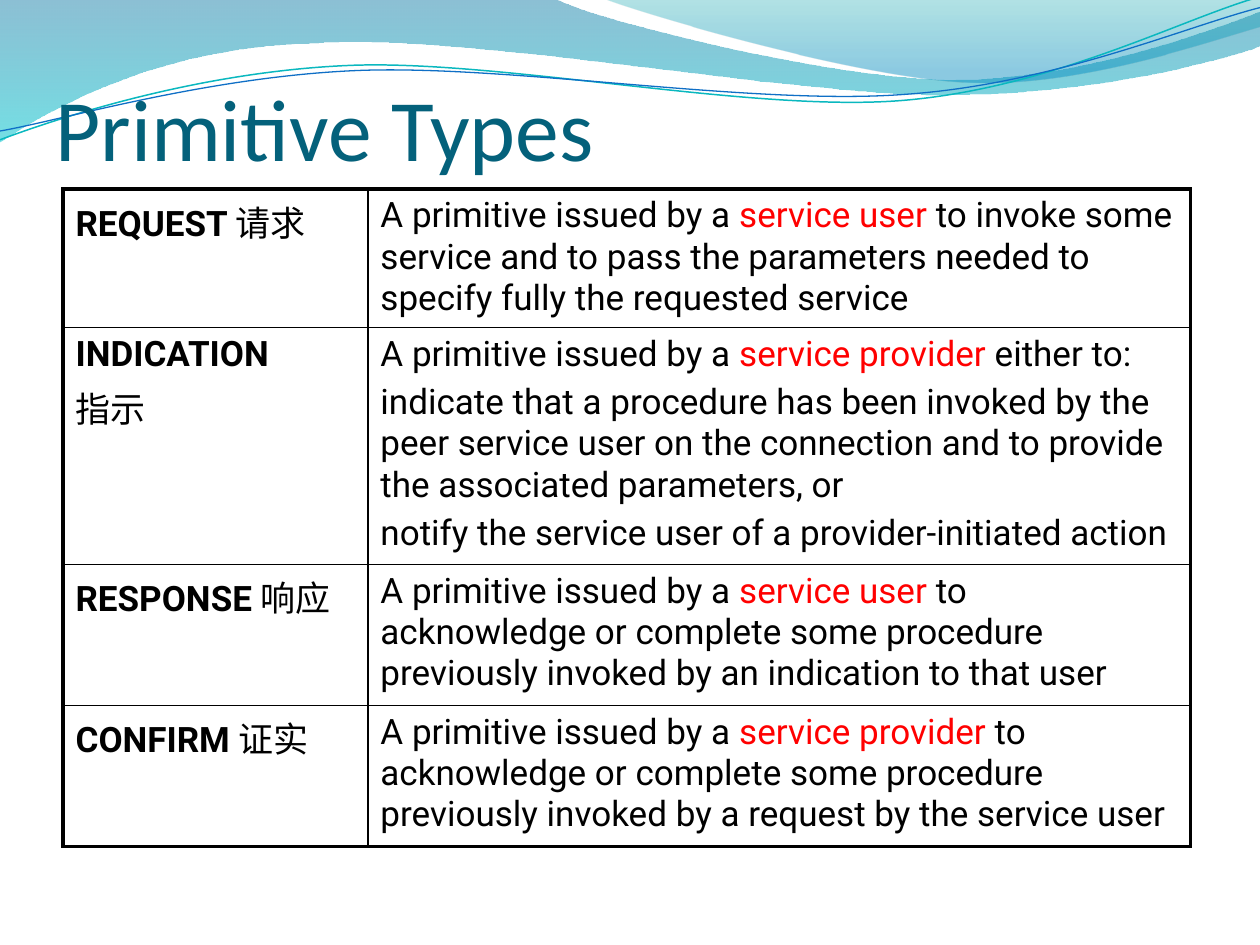
"""Build the Primitive Types slide with its wave banner and definition table."""
import math

from lxml import etree
from pptx import Presentation, util as u
from pptx.dml.color import RGBColor
from pptx.enum import text
from pptx.oxml import ns

BIG_WAVE = [
    (0, 0), (4.4, -0.01), (4.76, 0.17, 6.64, 0.63, 7.58, 0.63),
    (8.53, 0.63, 9.58, 0.26, 10, 0.09), (10.01, 0.36), (9.83, 0.44, 8.7, 0.76, 7.46, 0.75),
    (6.22, 0.75, 3.82, 0.28, 2.57, 0.34), (1.29, 0.36, 0.46, 0.83, -0.01, 1.13), (0, 0)]
SMALL_WAVE = [
    (4.79, -0.01), (5.09, 0.11, 6.82, 0.62, 7.69, 0.65), (8.56, 0.69, 9.61, 0.32, 10, 0.21),
    (10, 0), (4.79, -0.01)]
TEAL_CURVE = [
    (0, 1.11), (0.48, 0.93, 1.58, 0.57, 2.77, 0.52), (3.95, 0.47, 5.93, 0.89, 7.13, 0.8),
    (8.33, 0.71, 9.38, 0.15, 9.98, -0.02)]
BLUE_CURVE = [
    (0, 1.04), (0.47, 0.96, 1.64, 0.61, 2.83, 0.56), (4.03, 0.51, 5.97, 0.84, 7.17, 0.75),
    (8.36, 0.67, 9.41, 0.21, 10, 0.06)]


def rgb(value):
    """Turn a hex string into a colour."""
    return RGBColor.from_string(value)


def turn(parts, degrees, box):
    """Turn the points of an outline clockwise about the centre of a box."""
    cosine, sine = math.cos(math.radians(degrees)), math.sin(math.radians(degrees))
    left, top, width, height = box
    cx, cy = left + width / 2, top + height / 2
    turned = []
    for part in parts:
        pairs = zip(part[::2], part[1::2])
        turned.append([value for x, y in pairs for value in (
            cx + (x - cx) * cosine - (y - cy) * sine,
            cy + (x - cx) * sine + (y - cy) * cosine)])
    return turned


class SlideBuilder:
    """Hold the style and the current slide."""

    title_font, body_font = "Calibri", "Roboto"
    title_size, body_size = 50, 20
    title_color, body_color, accent = "04617B", "000000", "FF0000"
    outer_line, inner_line = 2.25, 1
    tilt = 2.7

    def __init__(self, presentation):
        """Add a blank slide."""
        self.slide = presentation.slides.add_slide(presentation.slide_layouts[6])

    def outline(self, parts, box, close):
        """Draw a freeform of straight and cubic parts that fills a box."""
        ends = [tuple(map(u.Inches, part[-2:])) for part in parts]
        builder = self.slide.shapes.build_freeform(*ends[0])
        builder.add_line_segments(ends[1:], close=close)
        shape = builder.convert_to_shape()
        shape.shadow.inherit = False
        shape.left, shape.top, shape.width, shape.height = map(u.Inches, box)
        track = next(shape.element.iter(ns.qn("a:path")))
        track.set("w", str(shape.width))
        track.set("h", str(shape.height))
        for step, part in zip(list(track), parts):
            step.clear()
            if len(part) == 6:
                curve = etree.Element(ns.qn("a:cubicBezTo"))
                track.replace(step, curve)
                step = curve
            for x, y in zip(part[::2], part[1::2]):
                etree.SubElement(step, ns.qn("a:pt"), x=str(u.Inches(x) - shape.left),
                                 y=str(u.Inches(y) - shape.top))
        return shape

    def wave(self, parts, box, stops):
        """Draw a wave with a see-through downward gradient."""
        shape = self.outline(parts, box, True)
        shape.line.fill.background()
        shape.fill.gradient()
        shape.fill.gradient_angle = 270
        for stop, (position, color, _) in zip(shape.fill.gradient_stops, stops):
            stop.position = position
            stop.color.rgb = rgb(color)
        colors = shape.element.spPr.iter(ns.qn("a:srgbClr"))
        for element, (_, _, alpha) in zip(colors, stops):
            etree.SubElement(element, ns.qn("a:alpha"), val=str(alpha * 1000))

    def curve(self, parts, box, color, width):
        """Draw a tilted open curve."""
        shape = self.outline(turn(parts, self.tilt, box), box, False)
        shape.rotation = 360 - self.tilt
        shape.fill.background()
        shape.line.color.rgb = rgb(color)
        shape.line.width = u.Pt(width)

    def run(self, paragraph, words, font, size, color, bold=False):
        """Add one styled run."""
        run = paragraph.add_run()
        run.text = words
        run.font.name, run.font.size, run.font.bold = font, u.Pt(size), bold
        run.font.color.rgb = rgb(color)

    def title(self, words, left, top, width, height):
        """Add the slide title."""
        box = self.slide.shapes.add_textbox(*map(u.Inches, (left, top, width, height)))
        frame = box.text_frame
        frame.word_wrap = True
        frame.vertical_anchor = text.MSO_ANCHOR.BOTTOM
        frame.margin_left = frame.margin_right = frame.margin_bottom = 0
        frame.margin_top = u.Inches(0.05)
        self.run(frame.paragraphs[0], words, self.title_font, self.title_size, self.title_color)

    def borders(self, cell, widths):
        """Set the left, right, top and bottom lines of a cell."""
        properties = cell._tc.get_or_add_tcPr()
        for index, (side, width) in enumerate(zip("LRTB", widths)):
            line = etree.Element(ns.qn(f"a:ln{side}"), w=str(u.Pt(width)))
            fill = etree.SubElement(line, ns.qn("a:solidFill"))
            etree.SubElement(fill, ns.qn("a:srgbClr"), val=self.body_color)
            properties.insert(index, line)

    def cell(self, cell, paragraphs):
        """Fill a cell with paragraphs of (words, color, bold) runs."""
        cell.fill.background()
        frame = cell.text_frame
        for index, runs in enumerate(paragraphs):
            paragraph = frame.add_paragraph() if index else frame.paragraphs[0]
            if index:
                paragraph.space_before = u.Pt(self.body_size * 0.2)
            for words, color, bold in runs:
                self.run(paragraph, words, self.body_font, self.body_size, color, bold)

    def table(self, rows, box, widths, heights):
        """Add a ruled table with a heavy frame."""
        shape = self.slide.shapes.add_table(len(rows), len(widths), *map(u.Inches, box))
        table = shape.table
        table.first_row = table.horz_banding = False
        for column, width in zip(table.columns, widths):
            column.width = u.Inches(width)
        for row, height in zip(table.rows, heights):
            row.height = u.Inches(height)
        shape.width, shape.height = map(u.Inches, box[2:])
        last_row, last_column = len(rows) - 1, len(widths) - 1
        for r, row in enumerate(rows):
            for c, paragraphs in enumerate(row):
                self.cell(table.cell(r, c), paragraphs)
                edges = (c == 0, c == last_column, r == 0, r == last_row)
                self.borders(table.cell(r, c),
                             [self.outer_line if edge else self.inner_line for edge in edges])

    def primitive(self, name, chinese, actor, rest, points=(), split=False):
        """Compose the two cells that define one primitive."""
        plain = self.body_color
        english, translation = (name, plain, True), (chinese, plain, False)
        label = [[english], [translation]] if split else [[english, translation]]
        meaning = [("A primitive issued by a ", plain, False),
                   (actor, self.accent, False), (rest, plain, False)]
        return label, [meaning] + [[(point, plain, False)] for point in points]


def main():
    """Build and save the slide."""
    presentation = Presentation()
    presentation.slide_width, presentation.slide_height = u.Inches(10), u.Inches(7.5)
    builder = SlideBuilder(presentation)
    builder.wave(BIG_WAVE, (-0.01, -0.01, 10.02, 1.14), [(0, "0074A1", 45), (1, "00C6CF", 55)])
    builder.wave(SMALL_WAVE, (4.79, -0.01, 5.21, 0.7), [(0, "00A1A9", 30), (0.8, "008BBF", 45)])
    builder.curve(TEAL_CURVE, (-0.02, 0.22, 10.02, 0.71), "0AB8BF", 0.85)
    builder.curve(BLUE_CURVE, (-0.02, 0.3, 10.03, 0.58), "0F6FC6", 0.75)
    builder.title("Primitive Types", 0.44, 0.17, 8.97, 1.25)
    rows = [
        builder.primitive(
            "REQUEST ", "请求", "service user",
            " to invoke some service and to pass the parameters needed to specify fully "
            "the requested service"),
        builder.primitive(
            "INDICATION", "指示", "service provider", " either to:",
            ["indicate that a procedure has been invoked by the peer service user on the "
             "connection and to provide the associated parameters, or",
             "notify the service user of a provider-initiated action"], split=True),
        builder.primitive(
            "RESPONSE ", "响应", "service user",
            " to acknowledge or complete some procedure previously invoked by an "
            "indication to that user"),
        builder.primitive(
            "CONFIRM ", "证实", "service provider",
            " to acknowledge or complete some procedure previously invoked by a request "
            "by the service user"),
    ]
    builder.table(rows, (0.5, 1.5, 8.94, 5.25), (2.42, 6.53), (0.86, 1.28, 1.12, 1.12))
    presentation.save("out.pptx")


if __name__ == "__main__":
    main()
